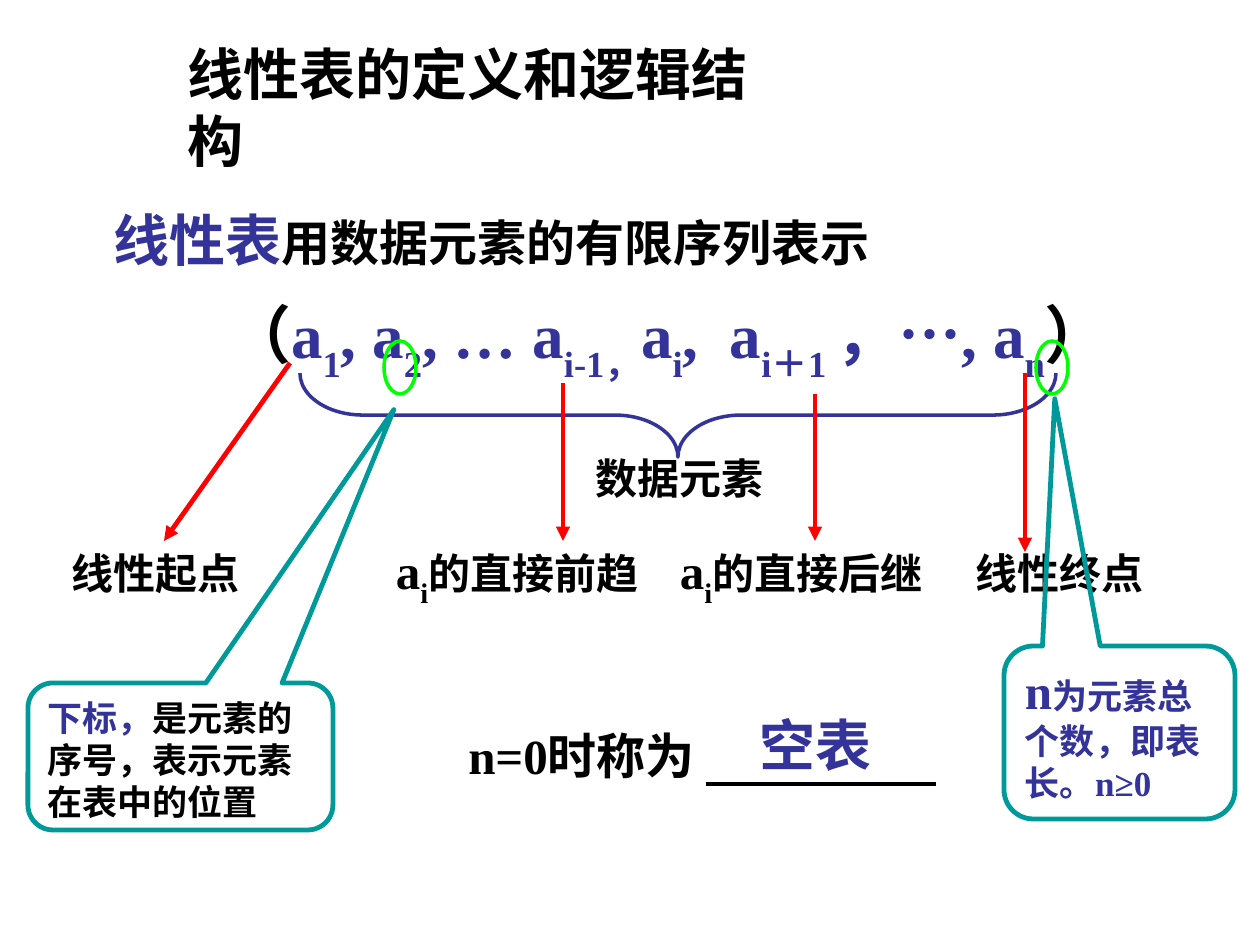
"""Build the slide on the definition and logical structure of a linear list."""
from dataclasses import dataclass

from lxml import etree
from pptx import Presentation, util as u
from pptx.dml.color import RGBColor
from pptx.enum import shapes, text
from pptx.oxml.ns import qn


@dataclass(frozen=True)
class Theme:
    font: str = "Times New Roman"
    ink: str = "000000"
    accent: str = "333399"
    arrow: str = "FF0000"
    callout: str = "009999"
    ring: str = "00FF00"
    formula: int = 36
    heading: int = 32
    statement: int = 28
    label: int = 24
    note: int = 20


THEME = Theme()
INK, ACCENT = THEME.ink, THEME.accent
CENTER, LEFT, JUSTIFY = (text.PP_ALIGN.CENTER, text.PP_ALIGN.LEFT,
                         text.PP_ALIGN.JUSTIFY)
KIND = shapes.MSO_SHAPE

TITLE = [("线性表的定义和逻辑结构", THEME.heading, INK)]
STATEMENT = [("线性表", THEME.heading, ACCENT),
             ("用数据元素的有限序列表示", THEME.statement, INK)]
TERMS = [("a", "1"), (", a", "2"), (", … a", "i-1，"), ("a", "i"),
         (",  a", "i＋1 "), ("，…, a", "n")]
SEQUENCE = [("（", THEME.formula, INK)]
for term, index in TERMS:
    SEQUENCE += [(term, THEME.formula, ACCENT), (index, THEME.formula, ACCENT, True)]
SEQUENCE.append(("）", THEME.formula, INK))
EMPTY_CASE = [("n=0时称为", THEME.statement, INK)]
EMPTY_NAME = [("空表", THEME.heading, ACCENT)]

LABELS = [("数据元素", 583, 446), ("线性起点", 59, 541), ("线性终点", 963, 541)]
NEIGHBOURS = [("的直接前趋", 378), ("的直接后继", 662)]
ARROWS = [(290, 363, 164, 541), (563, 383, 563, 541),
          (815, 394, 815, 541), (1025, 373, 1025, 552)]
CALLOUTS = [
    ((28, 683, 305, 147), (0.7, -2.36),
     [("下标，", THEME.note, ACCENT),
      ("是元素的序号，表示元素在表中的位置", THEME.note, INK)]),
    ((1004, 646, 231, 173), (-0.28, -1.93),
     [("n", THEME.statement, ACCENT),
      ("为元素总个数，即表长。n≥0", THEME.note, ACCENT)]),
]
RING_LEFTS = [384, 1036]


def px(length):
    return u.Emu(round(length * 914400 / 126))


def write(holder, runs, align=LEFT, wrap=True):
    frame = holder.text_frame
    frame.word_wrap = wrap
    frame.auto_size = text.MSO_AUTO_SIZE.NONE
    frame.vertical_anchor = text.MSO_ANCHOR.TOP
    paragraph = frame.paragraphs[0]
    paragraph.alignment = align
    paragraph.space_before = u.Pt(0)
    for words, size, color, *subscript in runs:
        run = paragraph.add_run()
        run.text = words
        run.font.name, run.font.size, run.font.bold = THEME.font, u.Pt(size), True
        run.font.color.rgb = RGBColor.from_string(color)
        if subscript:
            run.font._element.set("baseline", "-30000")
    return paragraph


def place(holder, box):
    holder.left, holder.top, holder.width, holder.height = map(px, box)


def add_words(slide, box, runs, align=CENTER, wrap=True):
    write(slide.shapes.add_textbox(*map(px, box)), runs, align, wrap)


def add_outline(slide, kind, box, color, weight, adjustments=()):
    outline = slide.shapes.add_shape(kind, *map(px, box))
    outline.shadow.inherit = False
    outline.fill.background()
    outline.line.color.rgb = RGBColor.from_string(color)
    outline.line.width = u.Pt(weight)
    for position, value in enumerate(adjustments):
        outline.adjustments[position] = value
    return outline


def add_line(slide, ends, color, weight, arrow=False):
    line = slide.shapes.add_connector(shapes.MSO_CONNECTOR.STRAIGHT, *map(px, ends))
    line.line.color.rgb = RGBColor.from_string(color)
    line.line.width = u.Pt(weight)
    if arrow:
        etree.SubElement(line.line._get_or_add_ln(), qn("a:tailEnd"), type="triangle")
    etree.SubElement(line._element.spPr, qn("a:effectLst"))


def main():
    deck = Presentation()
    deck.slide_width, deck.slide_height = u.Inches(10), u.Inches(7.5)
    slide = deck.slides.add_slide(deck.slide_layouts[1])

    title, statement = slide.placeholders
    place(title, (175, 33, 641, 81))
    write(title, TITLE, wrap=False)
    place(statement, (101, 199, 1092, 81))
    properties = write(statement, STATEMENT, JUSTIFY)._p.get_or_add_pPr()
    properties.set("marL", "0")
    properties.set("indent", "0")
    etree.SubElement(properties, qn("a:buNone"))

    add_words(slide, (122, 289, 1092, 241), SEQUENCE)
    add_words(slide, (417, 719, 329, 72), EMPTY_CASE)
    brace = add_outline(slide, KIND.LEFT_BRACE, (636, 37, 84, 756), ACCENT, 2, (0.75, 0.5))
    brace.rotation = 270

    for words, left, top in LABELS:
        add_words(slide, (left, top, 193, 63), [(words, THEME.label, INK)], wrap=False)
    for words, left in NEIGHBOURS:
        runs = [("a", THEME.statement, INK), ("i", THEME.statement, INK, True),
                (words, THEME.label, INK)]
        add_words(slide, (left, 534, 278, 82), runs, wrap=False)
    for ends in ARROWS:
        add_line(slide, ends, THEME.arrow, 2.75, arrow=True)
    for box, tip, runs in CALLOUTS:
        callout = add_outline(slide, KIND.ROUNDED_RECTANGULAR_CALLOUT, box,
                              THEME.callout, 2.75, (*tip, 0.17))
        write(callout, runs)

    add_words(slide, (742, 704, 147, 81), EMPTY_NAME)
    for left in RING_LEFTS:
        add_outline(slide, KIND.OVAL, (left, 341, 32, 53), THEME.ring, 2)
    add_line(slide, (706, 784, 936, 784), INK, 1.75)
    deck.save("out.pptx")


if __name__ == "__main__":
    main()
